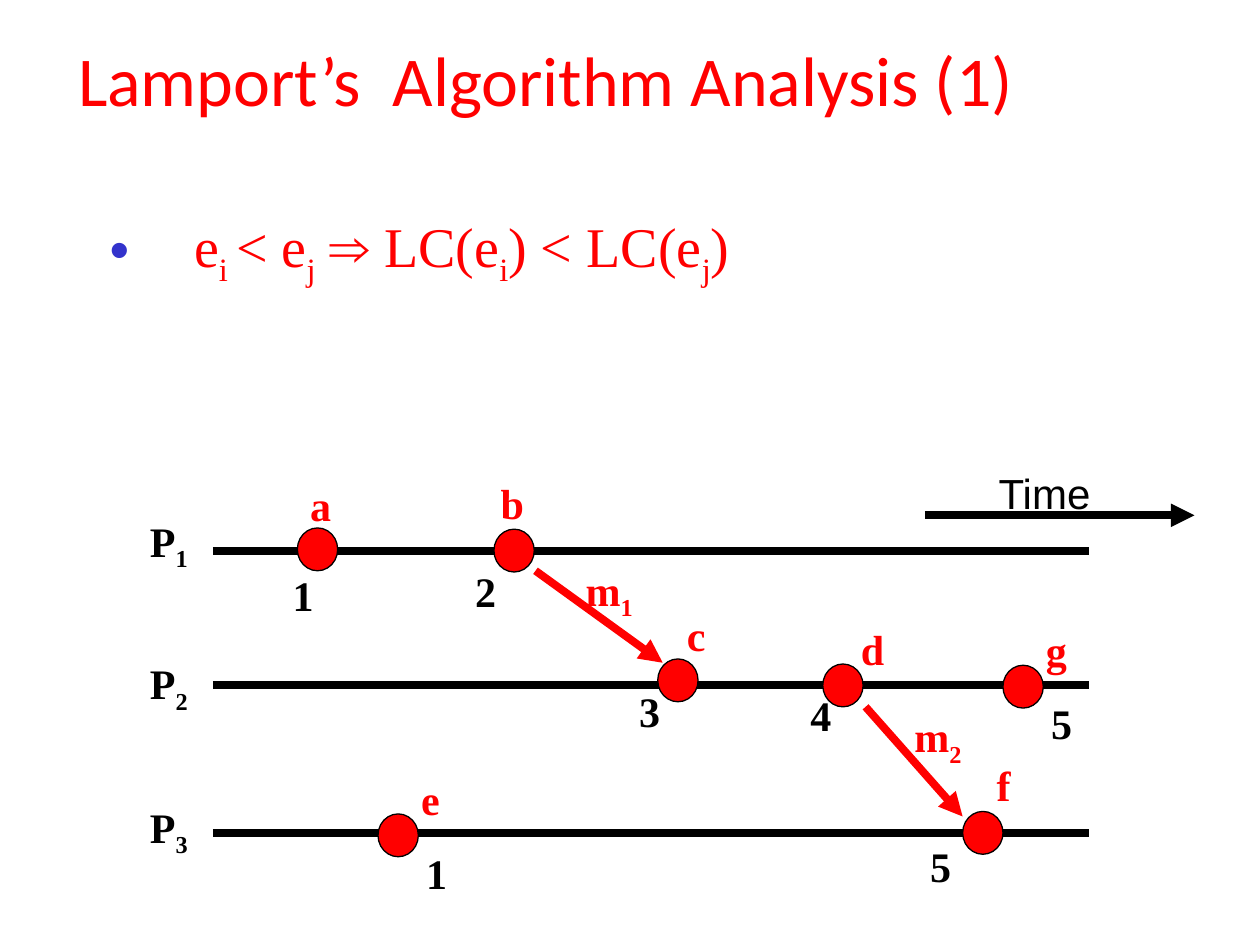
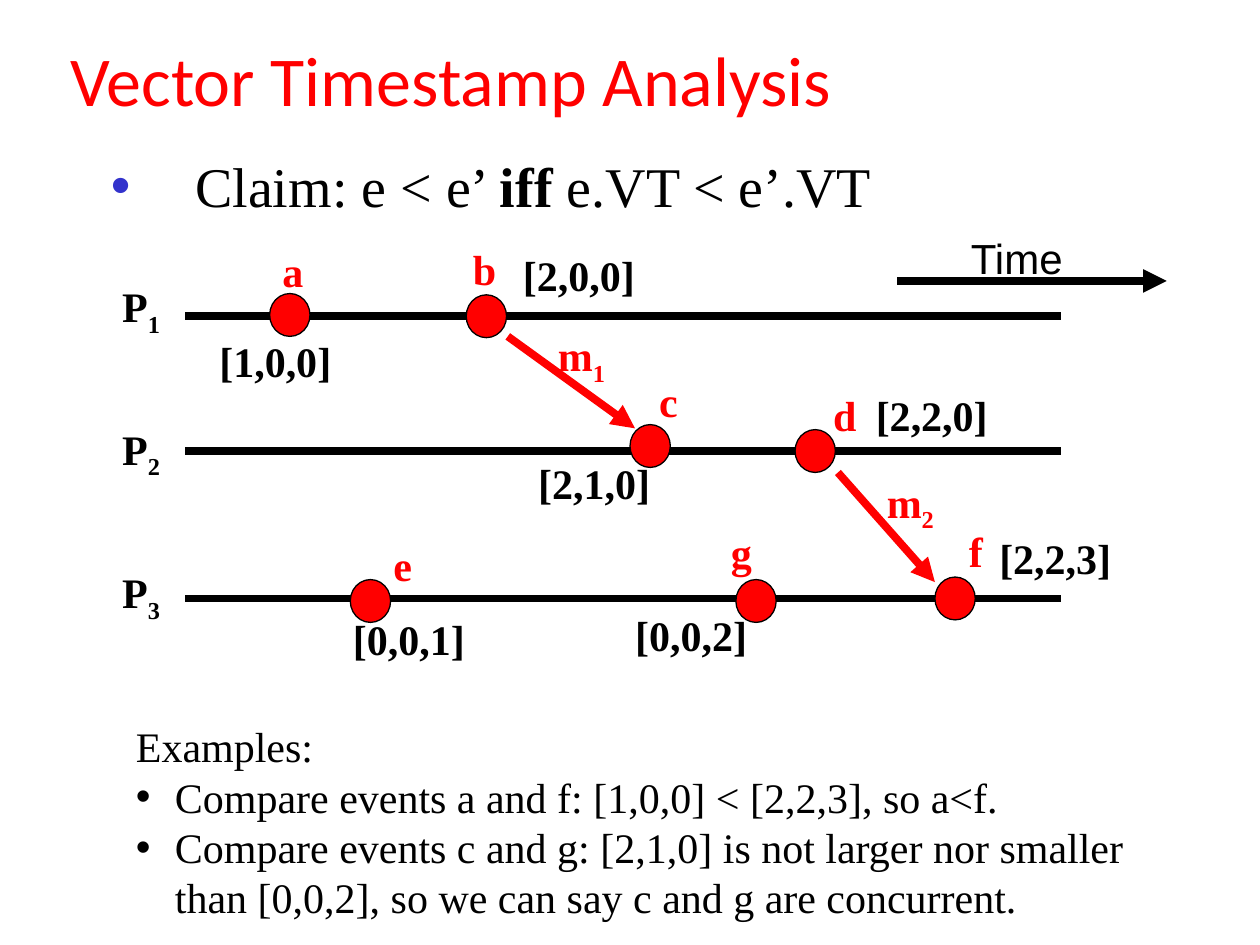
from lxml.etree import SubElement
from pptx import Presentation
from pptx.dml.color import RGBColor
from pptx.enum.shapes import MSO_CONNECTOR, MSO_SHAPE
from pptx.enum.text import MSO_ANCHOR, MSO_AUTO_SIZE, PP_ALIGN
from pptx.oxml.ns import qn
from pptx.util import Inches, Pt

RED = RGBColor(0xFF, 0x00, 0x00)
BLACK = RGBColor(0x00, 0x00, 0x00)
BLUE = RGBColor(0x33, 0x33, 0xCC)
SERIF = "Times New Roman"

# Diagram coordinates are in inches and are moved by each slide's shift.
LANES = [(4.37, 4.04), (5.44, 5.17), (6.61, 6.31)]  # line, label top
TIME = (7.34, 4.09, 9.48, 4.09)
MAILS = [(4.25, 4.53, 5.26, 5.26), (6.87, 5.61, 7.64, 6.48)]
MAIL_TAGS = [("m|1", 4.54, 4.43, 0.59), ("m|2", 7.15, 5.59, 0.59)]
# name, dot left and top, label left, top and width
EVENTS = [
    ("a", 2.36, 4.19, 2.36, 3.76, 0.37),
    ("b", 3.92, 4.20, 3.87, 3.74, 0.39),
    ("c", 5.22, 5.23, 5.35, 4.79, 0.35),
    ("d", 6.53, 5.27, 6.73, 4.90, 0.39),
    ("e", 3.00, 6.46, 3.24, 6.09, 0.35),
    ("f", 7.64, 6.44, 7.81, 5.98, 0.31),
]

SLIDES = [
    {
        "title": "Lamport’s  Algorithm Analysis (1)",
        "title_left": 0.52,
        "claim": "e|i |< e|j| ⇒ LC(e|i|) < LC(e|j|)",
        "claim_box": (0.77, 1.63, 8.59, 2.21),
        "color": RED,
        "bold": False,
        "shift": (0, 0),
        "g": ("g", 7.96, 5.28, 8.20, 4.91, 0.37),
        "width": 0.37,
        "stamps": [
            ("1", 2.22, 4.47), ("2", 3.67, 4.44), ("3", 4.97, 5.39),
            ("5", 7.28, 6.62), ("4", 6.33, 5.42), ("1", 3.28, 6.68),
            ("5", 8.24, 5.49),
        ],
        "notes": [],
    },
    {
        "title": "Vector Timestamp Analysis",
        "title_left": 0.46,
        "claim": "Claim: e < e’ |iff |e.VT < e’.VT",
        "claim_box": (0.78, 1.15, 8.59, 0.75),
        "color": BLACK,
        "bold": True,
        "shift": (-0.22, -1.86),
        "g": ("g", 6.06, 6.46, 5.92, 5.99, 0.37),
        "width": 1.09,
        "stamps": [
            ("[1,0,0]", 1.86, 4.47), ("[2,0,0]", 4.27, 3.79),
            ("[2,1,0]", 4.39, 5.44), ("[2,2,3]", 8.05, 6.04),
            ("[2,2,0]", 7.07, 4.90), ("[0,0,1]", 2.92, 6.68),
            ("[0,0,2]", 5.16, 6.65),
        ],
        "notes": [
            "Examples:",
            "Compare events a and f: [1,0,0] < [2,2,3], so a<f.",
            "Compare events c and g: [2,1,0] is not larger nor smaller than "
            "[0,0,2], so we can say c and g are concurrent.",
        ],
    },
]


def write(par, text, size, color, name=SERIF, bold=False, mark_bold=False):
    """Every second part between bars is a subscript, or bold if mark_bold."""
    par.font.size = Pt(size)
    par.font.name = name
    par.font.color.rgb = color
    par.font.bold = bold
    for i, part in enumerate(text.split("|")):
        run = par.add_run()
        run.text = part
        if i % 2 and mark_bold:
            run.font.bold = True
        elif i % 2:
            run._r.get_or_add_rPr().set("baseline", "-25000")


def bullet(par, indent, color):
    props = par._p.get_or_add_pPr()
    props.set("marL", str(Inches(indent)))
    props.set("indent", str(-Inches(indent)))
    tint = SubElement(props, qn("a:buClr"))
    SubElement(tint, qn("a:srgbClr")).set("val", str(color))
    SubElement(props, qn("a:buFont")).set("typeface", "Arial")
    SubElement(props, qn("a:buChar")).set("char", "•")
    # The bullet must come before the default run properties.
    for base in props.findall(qn("a:defRPr")):
        props.append(base)


deck = Presentation()
deck.slide_width, deck.slide_height = Inches(10), Inches(7.5)

for page in SLIDES:
    slide = deck.slides.add_slide(deck.slide_layouts[1])
    shapes = slide.shapes
    dx, dy = page["shift"]

    title = shapes.title
    left = page["title_left"]
    title.left, title.top = Inches(left), Inches(0)
    title.width, title.height = Inches(10 - left), Inches(1.25)
    title.text_frame.vertical_anchor = MSO_ANCHOR.MIDDLE
    par = title.text_frame.paragraphs[0]
    par.alignment = PP_ALIGN.LEFT
    write(par, page["title"], 40, RED, "Calibri")

    body = slide.placeholders[1]
    body.left, body.top, body.width, body.height = map(Inches, page["claim_box"])
    par = body.text_frame.paragraphs[0]
    write(par, page["claim"], 32, page["color"], mark_bold=page["bold"])
    bullet(par, 0.67, BLUE)

    # Process lines, time arrow and messages
    lines = [((1.69, y, 8.64, y), BLACK, False) for y, _ in LANES]
    lines.append((TIME, BLACK, True))
    lines += [(ends, RED, True) for ends in MAILS]
    for (x1, y1, x2, y2), color, arrow in lines:
        line = shapes.add_connector(
            MSO_CONNECTOR.STRAIGHT, Inches(x1 + dx), Inches(y1 + dy),
            Inches(x2 + dx), Inches(y2 + dy))
        line.line.color.rgb = color
        line.line.width = Pt(4.5)
        if arrow:
            SubElement(line.line._get_or_add_ln(), qn("a:tailEnd")).set("type", "triangle")
        SubElement(line._element.spPr, qn("a:effectLst"))

    events = EVENTS + [page["g"]]
    for _, x, y, *_ in events:
        dot = shapes.add_shape(
            MSO_SHAPE.OVAL, Inches(x + dx), Inches(y + dy), Inches(0.32), Inches(0.34))
        dot.shadow.inherit = False
        dot.fill.solid()
        dot.fill.fore_color.rgb = RED
        dot.line.color.rgb = BLACK
        dot.line.width = Pt(0.75)

    # Labels: text, left, top, width, colour, font, bold
    labels = [(f"P|{i}", 1.08, top, 0.52, BLACK, SERIF, True)
              for i, (_, top) in enumerate(LANES, 1)]
    labels.append(("Time", 7.82, 3.66, 0.94, BLACK, "Arial", False))
    labels += [(name, *spot, RED, SERIF, True) for name, _, _, *spot in events]
    labels += [(*tag, RED, SERIF, True) for tag in MAIL_TAGS]
    labels += [(*stamp, page["width"], BLACK, SERIF, True) for stamp in page["stamps"]]
    for text, x, y, width, color, name, bold in labels:
        box = shapes.add_textbox(
            Inches(x + dx), Inches(y + dy), Inches(width), Inches(0.5))
        frame = box.text_frame
        frame.word_wrap = False
        frame.auto_size = MSO_AUTO_SIZE.SHAPE_TO_FIT_TEXT
        par = frame.paragraphs[0]
        par.alignment = PP_ALIGN.CENTER
        write(par, text, 24, color, name, bold)

    if page["notes"]:
        box = shapes.add_textbox(Inches(0.98), Inches(5.67), Inches(8.32), Inches(1.72))
        frame = box.text_frame
        frame.word_wrap = True
        frame.auto_size = MSO_AUTO_SIZE.SHAPE_TO_FIT_TEXT
        for i, text in enumerate(page["notes"]):
            par = frame.add_paragraph() if i else frame.paragraphs[0]
            write(par, text, 24, BLACK)
            if i:
                bullet(par, 0.31, BLACK)

deck.save("out.pptx")
